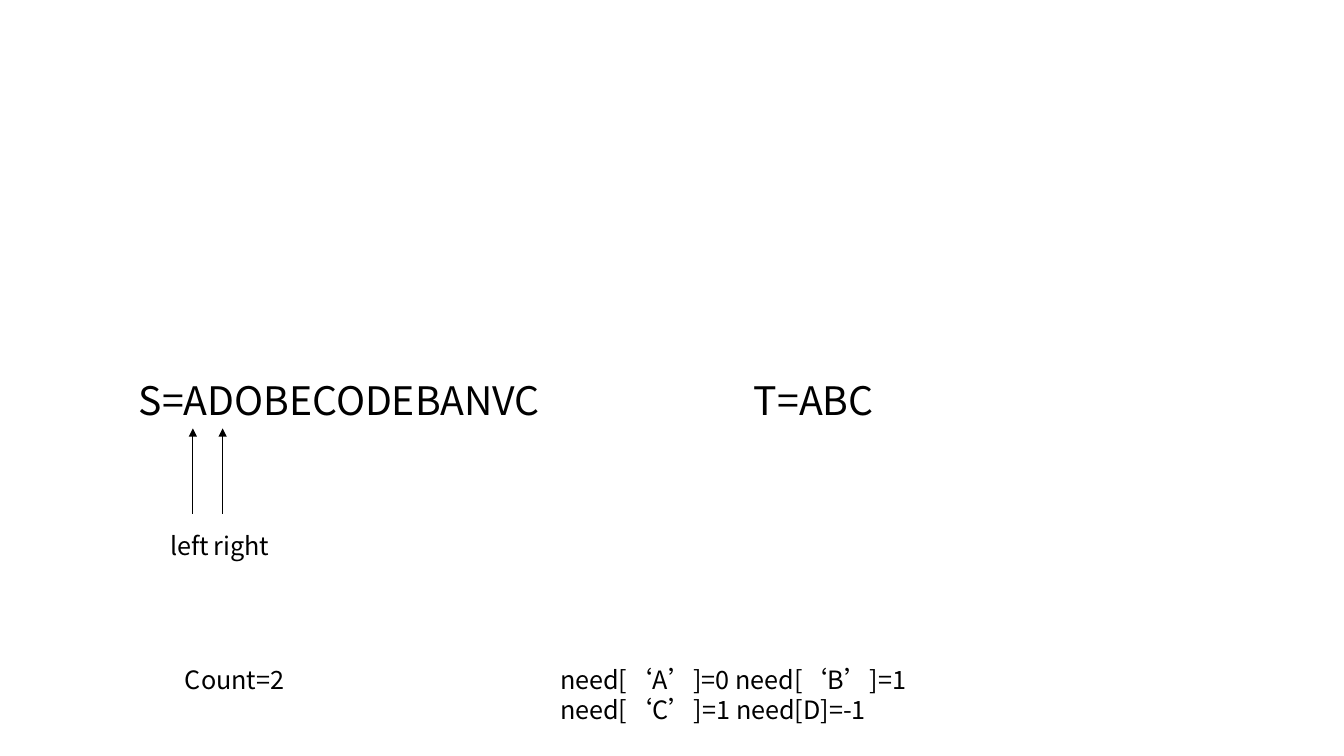
from pptx import Presentation
from pptx.dml.color import RGBColor
from pptx.enum.shapes import MSO_CONNECTOR
from pptx.enum.text import MSO_AUTO_SIZE
from pptx.oxml.ns import qn
from pptx.util import Pt
from lxml.etree import SubElement

FONT = "Noto Sans CJK SC"
INK = "000000"
BIG, SMALL = 28, 18
WORD_TOP, NAME_TOP, STATE_TOP = 265, 375, 471

TEXTS = [
    ("S=ADOBECODEBANVC", 92, WORD_TOP, 347, 41, BIG),
    ("T=ABC", 531.5, WORD_TOP, 183, 41, BIG),
    ("Count=2", 125, STATE_TOP, 148, 29, SMALL),
    ("need[‘A’]=0 need[‘B’]=1 need[‘C’]=1 need[D]=-1",
     393, STATE_TOP, 356.5, 51, SMALL),
    ("left", 114.5, NAME_TOP, 45, 29, SMALL),
    ("right", 145.5, NAME_TOP, 96.5, 29, SMALL),
]
MARKS = [137.75, 159]
TAIL, TIP = 367, 306


def color(code):
    return RGBColor.from_string(code)


def add_text(slide, text, left, top, width, height, size):
    box = slide.shapes.add_textbox(Pt(left), Pt(top), Pt(width), Pt(height))
    frame = box.text_frame
    frame.word_wrap = True
    frame.auto_size = MSO_AUTO_SIZE.SHAPE_TO_FIT_TEXT
    para = frame.paragraphs[0]
    para.text = text
    para.font.name = FONT
    para.font.size = Pt(size)
    para.font.color.rgb = color(INK)


def add_arrow(slide, x):
    arrow = slide.shapes.add_connector(
        MSO_CONNECTOR.STRAIGHT, Pt(x), Pt(TAIL), Pt(x), Pt(TIP))
    arrow.line.color.rgb = color(INK)
    arrow.line.width = Pt(0.5)
    SubElement(arrow.line._get_or_add_ln(), qn("a:tailEnd"), type="triangle")
    SubElement(arrow._element.spPr, qn("a:effectLst"))


def main():
    deck = Presentation()
    deck.slide_width, deck.slide_height = Pt(960), Pt(540)
    slide = deck.slides.add_slide(deck.slide_layouts[6])
    for item in TEXTS:
        add_text(slide, *item)
    for x in MARKS:
        add_arrow(slide, x)
    deck.save("out.pptx")


if __name__ == "__main__":
    main()
